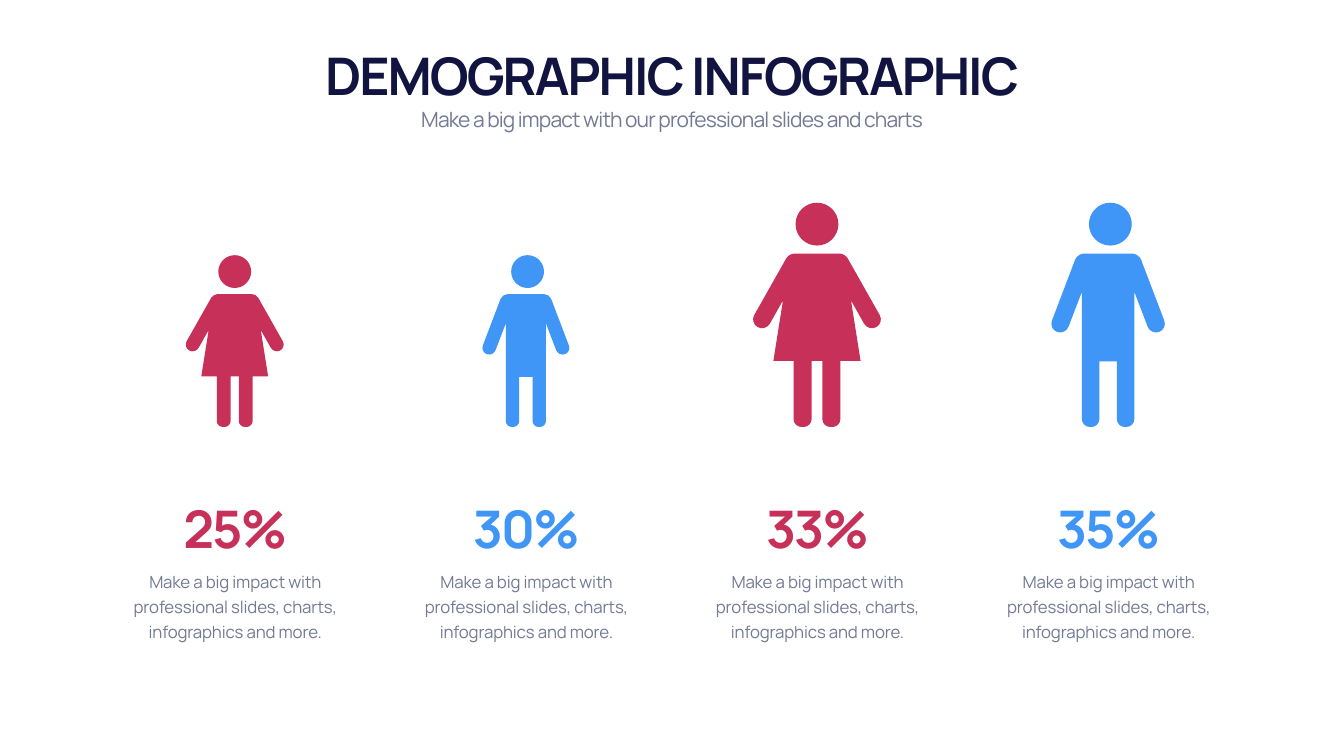
from pptx import Presentation
from pptx.dml.color import RGBColor
from pptx.enum.text import MSO_ANCHOR, PP_ALIGN
from pptx.oxml.ns import qn
from pptx.util import Pt
from lxml.etree import SubElement

COLORS = {"navy": "111340", "grey": "747994", "red": "C73059", "blue": "3F96F7"}
FONT = "Manrope"

TITLE = "DEMOGRAPHIC INFOGRAPHIC"
SUBTITLE = "Make a big impact with our professional slides and charts"
CAPTION = "Make a big impact with professional slides, charts, infographics and more."

# figure, scale, percentage
GROUPS = [
    ("woman", 0.766, "25%"),
    ("man", 0.766, "30%"),
    ("woman", 1, "33%"),
    ("man", 1, "35%"),
]

# Right half of each body from shoulder to crotch, at full scale:
# x from the body's axis, y from the top of the head, corner rounding
FIGURES = {
    "woman": {
        "color": "red",
        "head_shift": 0,
        "half_body": [
            (40, 72.7, 7.6), (95.9, 171.6, 12.7), (73.6, 183.9, 12.7),
            (48.6, 139.7, 0), (62.3, 226.1, 0), (33.5, 226.1, 0),
            (33.5, 320.4, 11.5), (7.6, 320.4, 11.5), (7.6, 226.1, 0),
        ],
    },
    "man": {
        "color": "blue",
        "head_shift": 3.2,
        "half_body": [
            (43.8, 72.7, 9.4), (84.7, 180.3, 12.6), (61, 188.9, 12.6),
            (37.5, 127.4, 0), (37.5, 320.4, 11.5), (12.4, 320.4, 11.5),
            (12.4, 226.8, 0),
        ],
    },
}
FIGURE_HEIGHT = 320.4
HEAD_RADIUS = 30.6
CURVE_PULL = 0.55  # makes a cubic curve nearly a circular arc

PAGE_WIDTH, PAGE_HEIGHT = 1919.5, 1080
MARGIN = 119.5
COLUMN_WIDTH, COLUMN_STEP = 324, 415.8
GROUND = 610
PERCENT_TOP, CAPTION_TOP = 705.6, 805.7


def color(name):
    return RGBColor.from_string(COLORS[name])


def between(start, end, share):
    return tuple(a + (b - a) * share for a, b in zip(start, end))


def outline(corners):
    """Return one point for a sharp corner, four curve points for a rounded one."""
    points = []
    for index, (x, y, rounding) in enumerate(corners):
        corner = (x, y)
        if not rounding:
            points.append(corner)
            continue
        tangents = []
        for neighbour in (corners[index - 1], corners[(index + 1) % len(corners)]):
            length = ((neighbour[0] - x) ** 2 + (neighbour[1] - y) ** 2) ** 0.5
            tangents.append(between(corner, neighbour[:2], rounding / length))
        start, end = tangents
        points += [start, between(start, corner, CURVE_PULL),
                   between(end, corner, CURVE_PULL), end]
    return points


def bend_corners(shape, parts):
    """Turn the three lines that follow each rounded corner's start into a curve."""
    path = next(shape._element.iter(qn("a:path")))
    nodes = iter(list(path))
    for corners in parts:
        for _, _, rounding in corners:
            start = next(nodes)
            if rounding:
                curve = SubElement(path, qn("a:cubicBezTo"))
                start.addnext(curve)
                for _ in range(3):
                    line = next(nodes)
                    curve.append(line[0])
                    path.remove(line)
        next(nodes)  # the close mark


def add_figure(page, figure, center, scale):
    half = figure["half_body"]
    body = half + [(-x, y, rounding) for x, y, rounding in reversed(half)]
    r, shift = HEAD_RADIUS, figure["head_shift"]
    head = [(shift + x, y, r) for x, y in ((-r, 0), (r, 0), (r, 2 * r), (-r, 2 * r))]
    top = GROUND - FIGURE_HEIGHT * scale

    body_points, head_points = [
        [(Pt(center + x * scale), Pt(top + y * scale)) for x, y in outline(part)]
        for part in (body, head)
    ]
    builder = page.shapes.build_freeform(*body_points[0])
    builder.add_line_segments(body_points[1:], close=True)
    builder.move_to(*head_points[0])
    builder.add_line_segments(head_points[1:], close=True)
    shape = builder.convert_to_shape()
    bend_corners(shape, (body, head))
    shape.shadow.inherit = False
    shape.fill.solid()
    shape.fill.fore_color.rgb = color(figure["color"])
    shape.line.fill.background()


def add_text(page, text, left, top, width, height, size, fill,
             bold=False, tracking=0, leading=None):
    box = page.shapes.add_textbox(Pt(left), Pt(top), Pt(width), Pt(height))
    frame = box.text_frame
    frame.word_wrap = True
    frame.vertical_anchor = MSO_ANCHOR.TOP
    para = frame.paragraphs[0]
    para.alignment = PP_ALIGN.CENTER
    if leading:
        para.line_spacing = Pt(leading)
    span = para.add_run()
    span.text = text
    span.font.name = FONT
    span.font.size = Pt(size)
    span.font.bold = bold
    span.font.color.rgb = color(fill)
    span._r.get_or_add_rPr().set("spc", str(round(tracking * 100)))


def main():
    deck = Presentation()
    deck.slide_width, deck.slide_height = Pt(PAGE_WIDTH), Pt(PAGE_HEIGHT)
    page = deck.slides.add_slide(deck.slide_layouts[6])
    text_width = PAGE_WIDTH - 2 * MARGIN
    big = {"height": 97.2, "size": 74, "bold": True, "tracking": -2.9}

    add_text(page, TITLE, MARGIN, 59, text_width, fill="navy", **big)
    add_text(page, SUBTITLE, MARGIN, 149, text_width, 44,
             size=30, fill="grey", tracking=-1.2)

    first_left = (PAGE_WIDTH - 3 * COLUMN_STEP - COLUMN_WIDTH) / 2
    for index, (kind, scale, percent) in enumerate(GROUPS):
        left = first_left + index * COLUMN_STEP
        figure = FIGURES[kind]
        add_figure(page, figure, left + COLUMN_WIDTH / 2 - 0.8, scale)
        add_text(page, percent, left, PERCENT_TOP, COLUMN_WIDTH,
                 fill=figure["color"], **big)
        add_text(page, CAPTION, left, CAPTION_TOP, COLUMN_WIDTH, 114.5,
                 size=24, fill="grey", tracking=-0.2, leading=36)

    deck.save("out.pptx")


if __name__ == "__main__":
    main()
